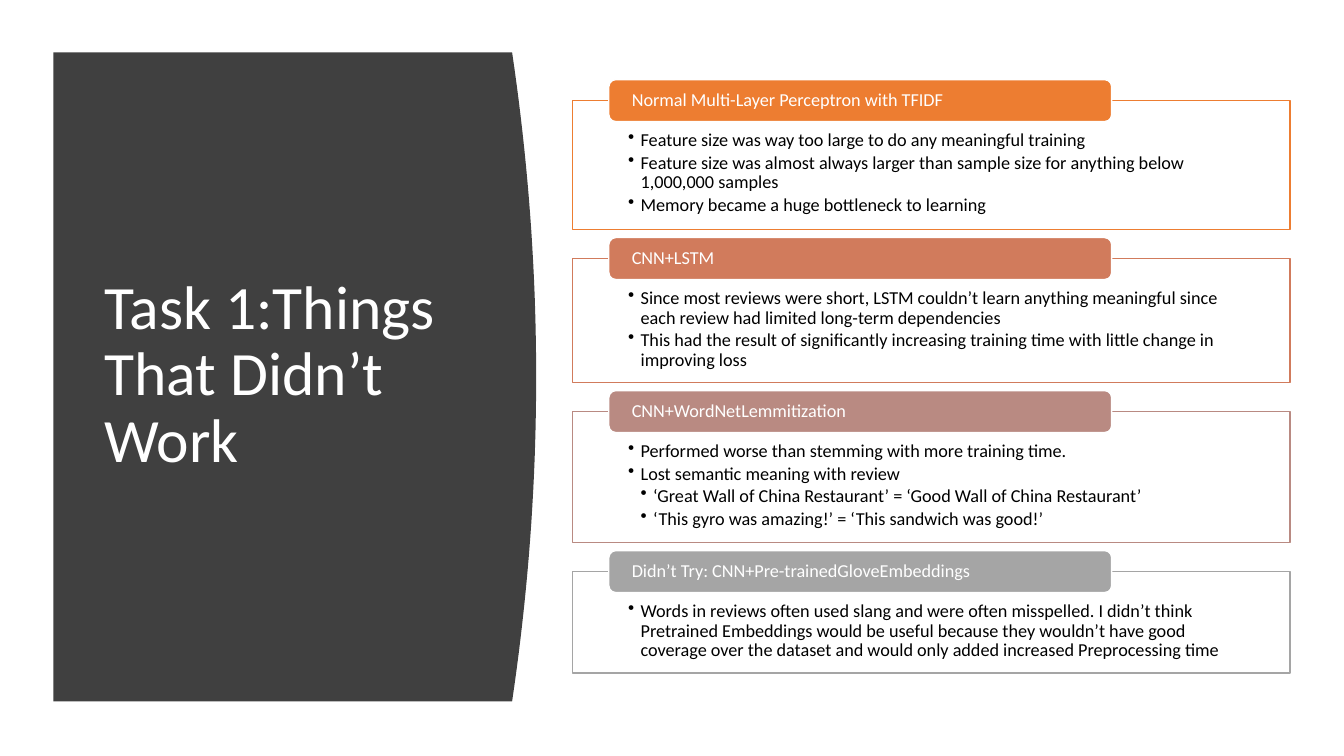
from dataclasses import dataclass

from lxml import etree
from pptx import Presentation
from pptx.dml.color import RGBColor
from pptx.enum.shapes import MSO_SHAPE
from pptx.enum.text import MSO_ANCHOR
from pptx.oxml.ns import qn
from pptx.util import Pt

RECT = MSO_SHAPE.RECTANGLE
ROUND = MSO_SHAPE.ROUNDED_RECTANGLE
TOP = MSO_ANCHOR.TOP
MIDDLE = MSO_ANCHOR.MIDDLE


@dataclass
class Theme:
    font: str = "Calibri"
    title: int = 44
    body: int = 13
    dark: str = "404040"
    white: str = "FFFFFF"
    black: str = "000000"


class Deck:
    def __init__(self, theme):
        self.theme = theme
        self.file = Presentation()
        self.file.slide_width, self.file.slide_height = Pt(960), Pt(540)
        self.slide = self.file.slides.add_slide(self.file.slide_layouts[6])

    def paint(self, shape, fill, line=None):
        shape.shadow.inherit = False
        shape.fill.solid()
        shape.fill.fore_color.rgb = RGBColor.from_string(fill)
        if line:
            shape.line.color.rgb = RGBColor.from_string(line)
            shape.line.width = Pt(1)
        else:
            shape.line.fill.background()

    def box(self, kind, area, fill, line):
        shape = self.slide.shapes.add_shape(kind, *map(Pt, area))
        self.paint(shape, fill, line)
        return shape

    def outline(self, points, fill):
        first, *rest = [(Pt(x), Pt(y)) for x, y in points]
        pen = self.slide.shapes.build_freeform(*first)
        pen.add_line_segments(rest, close=True)
        self.paint(pen.convert_to_shape(), fill)

    def label(self, area, text, size):
        shape = self.slide.shapes.add_textbox(*map(Pt, area))
        self.set_text(shape, [(0, text)], size, self.theme.white, MIDDLE, (7.2, 3.6, 7.2, 3.6))

    def set_text(self, shape, items, size, color, anchor, inset, after=0):
        frame = shape.text_frame
        frame.word_wrap = True
        frame.vertical_anchor = anchor
        (frame.margin_left, frame.margin_top,
         frame.margin_right, frame.margin_bottom) = map(Pt, inset)
        for i, (level, text) in enumerate(items):
            para = frame.add_paragraph() if i else frame.paragraphs[0]
            para.text = text
            para.line_spacing = 0.9
            para.space_after = Pt(after)
            para.font.name = self.theme.font
            para.font.size = Pt(size)
            para.font.color.rgb = RGBColor.from_string(color)
            props = para._p.get_or_add_pPr()
            props.set("algn", "l")
            if level:
                self.bullet(props, level)

    def bullet(self, props, level):
        props.set("marL", str(Pt(9 * level)))
        props.set("indent", str(Pt(-9)))
        mark = etree.Element(qn("a:buChar"), char="•")
        props.find(qn("a:defRPr")).addprevious(mark)

    def card(self, top, height, color, head, items):
        theme = self.theme
        # Framed panel with bullets
        panel = self.box(RECT, (409, top, 512.6, height), theme.white, color)
        tone = panel._element.spPr.find(qn("a:solidFill"))[0]
        etree.SubElement(tone, qn("a:alpha"), val="90000")
        self.set_text(panel, items, theme.body, theme.black, TOP, (39.6, 21.6, 39.6, 7.2), 2)
        # Heading tab over the top edge
        tab = self.box(ROUND, (434.9, top - 15, 359.2, 30), color, theme.white)
        self.set_text(tab, [(0, head)], theme.body, theme.white, MIDDLE, (15, 0, 15, 0))


# Each card: height, colour, heading, (level, text) bullets
CARDS = [
    (92.1, "ED7D31", "Normal Multi-Layer Perceptron with TFIDF", [
        (1, "Feature size was way too large to do any meaningful training"),
        (1, "Feature size was almost always larger than sample size for "
            "anything below 1,000,000 samples"),
        (1, "Memory became a huge bottleneck to learning")]),
    (88.6, "D17B5C", "CNN+LSTM", [
        (1, "Since most reviews were short, LSTM couldn’t learn anything "
            "meaningful since each review had limited long-term dependencies"),
        (1, "This had the result of significantly increasing training time "
            "with little change in improving loss")]),
    (93.6, "B98A82", "CNN+WordNetLemmitization", [
        (1, "Performed worse than stemming with more training time."),
        (1, "Lost semantic meaning with review"),
        (2, "‘Great Wall of China Restaurant’ = ‘Good Wall of China Restaurant’"),
        (2, "‘This gyro was amazing!’ = ‘This sandwich was good!’")]),
    (72.5, "A5A5A5", "Didn’t Try: CNN+Pre-trainedGloveEmbeddings", [
        (1, "Words in reviews often used slang and were often misspelled. "
            "I didn’t think Pretrained Embeddings would be useful because they "
            "wouldn’t have good coverage over the dataset and would only added "
            "increased Preprocessing time")]),
]
GAP = 20.7


def main():
    theme = Theme()
    deck = Deck(theme)

    # Dark title panel with a bowed right edge
    left, top, high, steps = 38.2, 37.4, 463.7, 40
    edge = [(383 - 17.2 * (2 * i / steps - 1) ** 2, top + high * i / steps)
            for i in range(steps + 1)]
    deck.outline([(left, top), *edge, (left, top + high)], theme.dark)
    deck.label((67.7, 79.9, 269.3, 377.3), "Task 1:Things That Didn’t Work", theme.title)

    # Stack of cards
    y = 71.9
    for height, color, head, items in CARDS:
        deck.card(y, height, color, head, items)
        y += height + GAP

    deck.file.save("out.pptx")


if __name__ == "__main__":
    main()
